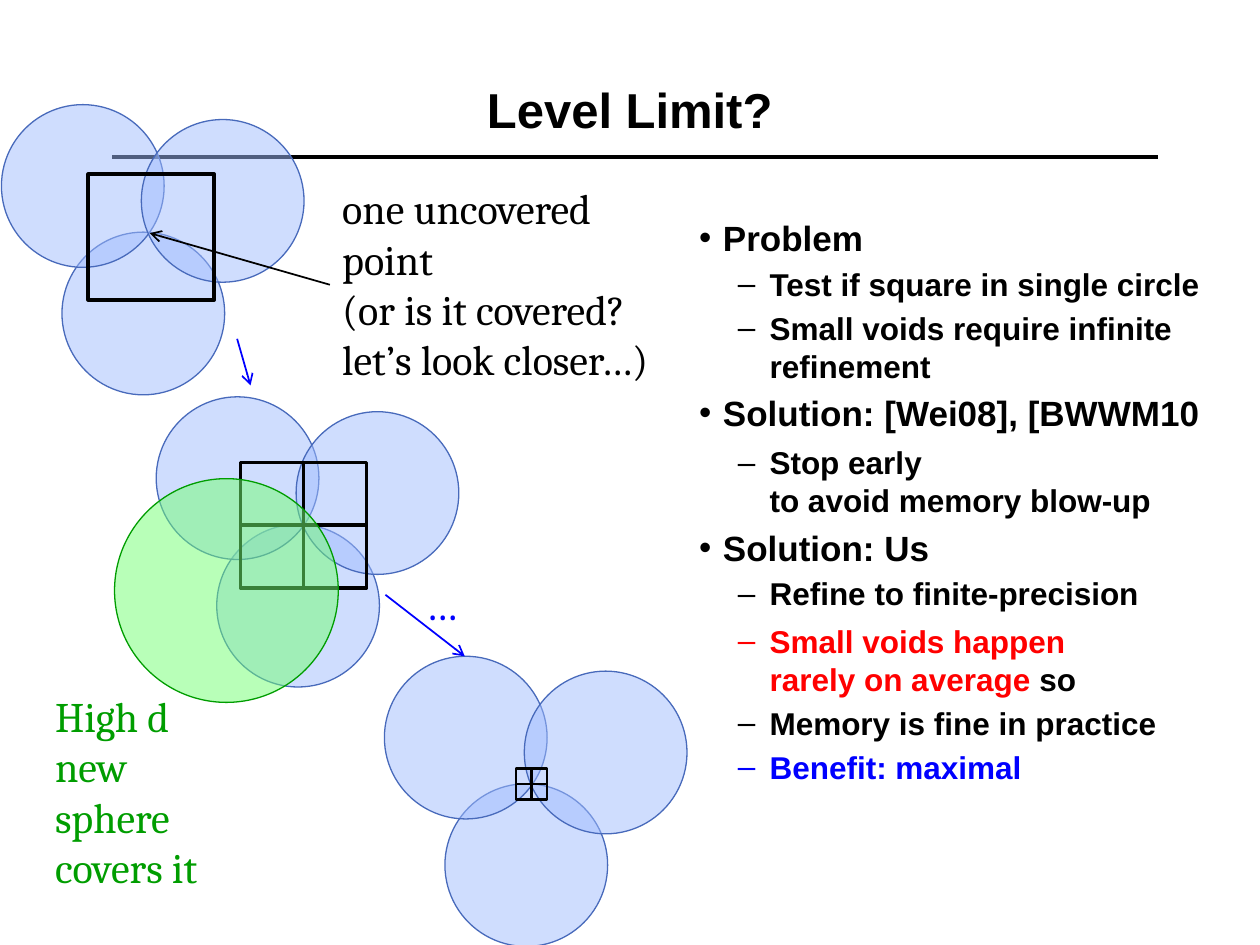
from dataclasses import dataclass

from lxml.etree import SubElement
from pptx import Presentation
from pptx.dml.color import RGBColor
from pptx.enum.shapes import MSO_CONNECTOR, MSO_SHAPE
from pptx.enum.text import MSO_ANCHOR, MSO_AUTO_SIZE, PP_ALIGN
from pptx.oxml.ns import qn
from pptx.util import Cm, Pt


@dataclass(frozen=True)
class Theme:
    sans: str = "Arial"
    serif: str = "Cambria"
    title: int = 28
    levels: tuple = (20, 18)
    note: int = 24
    black: str = "000000"
    red: str = "FF0000"
    blue: str = "0000FF"
    disk: str = "A0BCFE"
    disk_edge: str = "486ABB"
    cover: str = "72FF72"
    cover_edge: str = "009D00"


T = Theme()
INDENTS = ((0.96, -0.48), (1.9, -0.64))
DISK_SIZE = 3.28
DISK_OFFSETS = ((1.22, 2.57), (0, 0), (2.82, 0.3))

OUTLINE = [
    (0, [("Problem", T.black)]),
    (1, [("Test if square in single circle", T.black)]),
    (1, [("Small voids require infinite refinement", T.black)]),
    (0, [("Solution: [Wei08], [BWWM10", T.black)]),
    (1, [("Stop early\nto avoid memory blow-up", T.black)]),
    (0, [("Solution: Us", T.black)]),
    (1, [("Refine to finite-precision", T.black)]),
    (1, [("Small voids happen \nrarely on average ", T.red), ("so", T.black)]),
    (1, [("Memory is fine in practice", T.black)]),
    (1, [("Benefit: maximal", T.blue)]),
]


def add_run(p, text, font, size, color, bold=False):
    for i, line in enumerate(text.split("\n")):
        if i:
            p.add_line_break()
        r = p.add_run()
        r.text = line
        r.font.name, r.font.size, r.font.bold = font, Pt(size), bold
        r.font.color.rgb = RGBColor.from_string(color)


def place(sp, box):
    sp.left, sp.top, sp.width, sp.height = (Cm(v) for v in box)


def paragraph(tf, i):
    return tf.add_paragraph() if i else tf.paragraphs[0]


def fill_title(sp, box, text):
    place(sp, box)
    tf = sp.text_frame
    tf.auto_size = MSO_AUTO_SIZE.NONE
    tf.vertical_anchor = MSO_ANCHOR.MIDDLE
    p = tf.paragraphs[0]
    p.alignment = PP_ALIGN.CENTER
    add_run(p, text, T.sans, T.title, T.black, True)


def fill_outline(sp, box, items):
    place(sp, box)
    tf = sp.text_frame
    tf.auto_size = MSO_AUTO_SIZE.NONE
    for i, (level, runs) in enumerate(items):
        p = paragraph(tf, i)
        p.level = level
        if i == 0:
            p.space_before = Pt(0)
        margin, indent = INDENTS[level]
        pPr = p._p.get_or_add_pPr()
        pPr.set("marL", str(Cm(margin)))
        pPr.set("indent", str(Cm(indent)))
        for text, color in runs:
            add_run(p, text, T.sans, T.levels[level], color, True)


def add_note(shapes, box, lines, color):
    tf = shapes.add_textbox(*(Cm(v) for v in box)).text_frame
    tf.word_wrap = True
    for i, line in enumerate(lines):
        add_run(paragraph(tf, i), line, T.serif, T.note, color)


def add_line(shapes, start, end, color, width, arrow=True):
    c = shapes.add_connector(MSO_CONNECTOR.STRAIGHT, *(Cm(v) for v in start + end))
    c.line.color.rgb = RGBColor.from_string(color)
    c.line.width = Pt(width)
    if arrow:
        SubElement(c.line._get_or_add_ln(), qn("a:tailEnd"), type="arrow")
    SubElement(c._element.spPr, qn("a:effectLst"))


def add_disk(shapes, x, y, size, fill, edge):
    s = shapes.add_shape(MSO_SHAPE.FLOWCHART_CONNECTOR, Cm(x), Cm(y), Cm(size), Cm(size))
    s.shadow.inherit = False
    s.fill.solid()
    s.fill.fore_color.rgb = RGBColor.from_string(fill)
    color = s.fill._xPr.find(qn("a:solidFill"))[0]
    SubElement(color, qn("a:alpha"), val="50000")
    s.line.color.rgb = RGBColor.from_string(edge)
    s.line.width = Pt(0)


def add_grid(shapes, x, y, size, cells, width):
    step = size / cells
    for row in range(cells):
        for col in range(cells):
            s = shapes.add_shape(MSO_SHAPE.RECTANGLE, Cm(x + col * step),
                                 Cm(y + row * step), Cm(step), Cm(step))
            s.shadow.inherit = False
            s.fill.background()
            s.line.color.rgb = RGBColor.from_string(T.black)
            s.line.width = Pt(width)


def add_cluster(shapes, x, y, grid_offset, size, cells, width):
    group = shapes.add_group_shape().shapes
    for dx, dy in DISK_OFFSETS:
        add_disk(group, x + dx, y + dy, DISK_SIZE, T.disk, T.disk_edge)
    gx, gy = grid_offset
    add_grid(group, x + gx, y + gy, size, cells, width)


def add_cover(shapes, x, y):
    group = shapes.add_group_shape().shapes
    add_disk(group, x + 1.45, y, 4.51, T.cover, T.cover_edge)
    add_note(group, (x, y + 4.14, 4.39, 3.33),
             ["High d", "new sphere", "covers it"], T.cover_edge)


def add_refinement(shapes):
    add_cluster(shapes, 0.03, 2.11, (1.75, 1.4), 2.54, 1, 2)
    add_cluster(shapes, 3.15, 8, (1.7, 1.32), 2.54, 2, 2)
    add_cluster(shapes, 7.75, 13.23, (2.65, 2.26), 0.63, 2, 1.5)
    add_line(shapes, (4.78, 6.83), (5.05, 7.77), T.blue, 1)
    add_line(shapes, (7.77, 11.99), (9.37, 13.23), T.blue, 1)
    add_note(shapes, (8.33, 11.53, 1.37, 1.27), ["…"], T.blue)
    add_line(shapes, (6.65, 5.74), (3.02, 4.7), T.black, 1)
    add_note(shapes, (6.65, 3.56, 7.49, 4.37),
             ["one uncovered \npoint", "(or is it covered?\nlet’s look closer…)"], T.black)
    add_cover(shapes, 0.86, 9.65)


def main():
    prs = Presentation()
    prs.slide_width, prs.slide_height = Cm(25.4), Cm(19.05)
    s = prs.slides.add_slide(prs.slide_layouts[1])
    fill_title(s.shapes.title, (1.9, 0.79, 21.59, 2.82), "Level Limit?")
    fill_outline(s.placeholders[1], (13.36, 4.24, 12.04, 12.7), OUTLINE)
    add_line(s.shapes, (2.26, 3.17), (23.34, 3.17), T.black, 2, arrow=False)
    add_refinement(s.shapes)
    prs.save("out.pptx")


if __name__ == "__main__":
    main()
